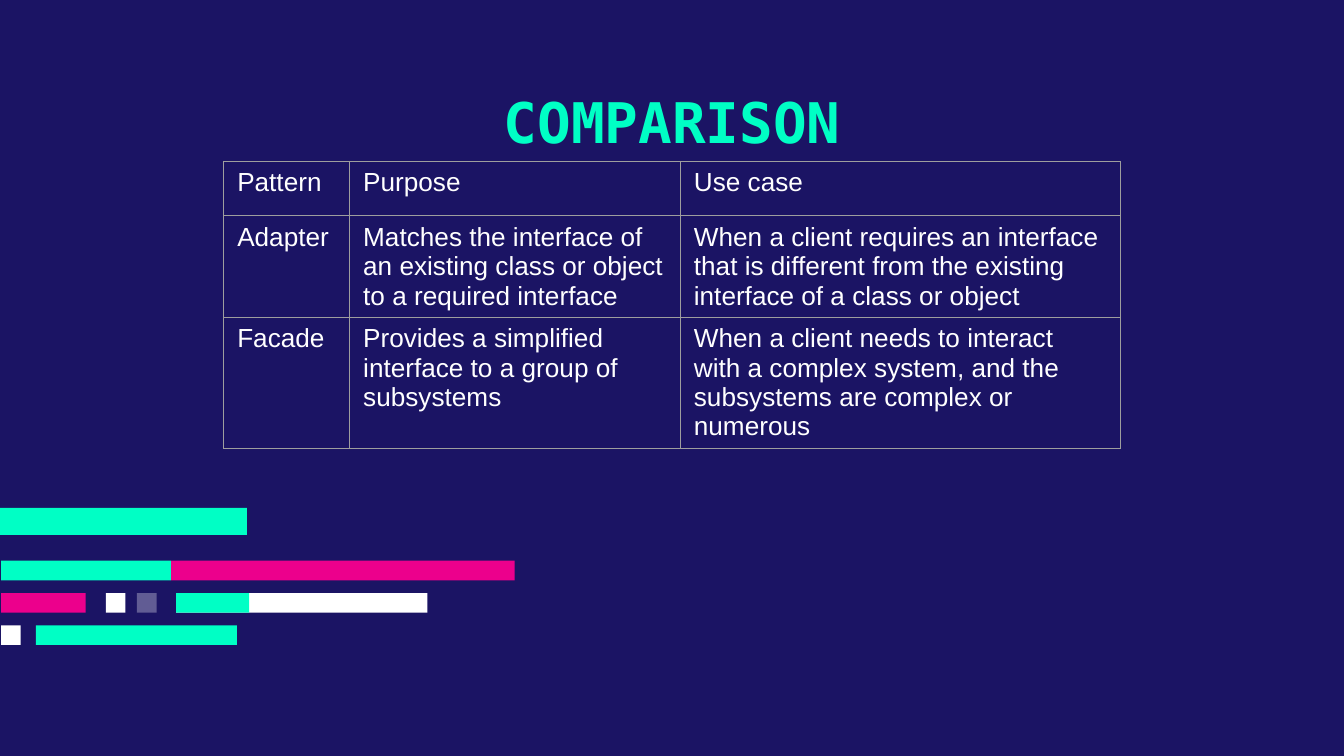
from dataclasses import dataclass

from lxml import etree
from pptx import Presentation
from pptx.dml.color import RGBColor
from pptx.enum.shapes import MSO_SHAPE
from pptx.enum.text import MSO_ANCHOR, PP_ALIGN
from pptx.oxml.ns import qn
from pptx.util import Cm, Pt

RECT = MSO_SHAPE.RECTANGLE
MIDDLE = MSO_ANCHOR.MIDDLE
LEFT, CENTER = PP_ALIGN.LEFT, PP_ALIGN.CENTER
TITLE_ONLY = 5


@dataclass(frozen=True)
class Theme:
    back: str = "1B1464"
    mint: str = "00FFC5"
    pink: str = "EC008C"
    white: str = "FFFFFF"
    grid: str = "9E9E9E"
    head_font: str = "DejaVu Sans Mono"
    body_font: str = "Arial"
    head_size: float = 30
    body_size: float = 14
    grid_width: float = 0.75


def write(frame, text, font, size, color, bold=False, align=LEFT):
    para = frame.paragraphs[0]
    para.alignment = align
    run = para.add_run()
    run.text = text
    run.font.name = font
    run.font.size = Pt(size)
    run.font.bold = bold
    run.font.color.rgb = RGBColor.from_string(color)


class Deck:
    def __init__(self, theme, width, height):
        self.theme = theme
        self.file = Presentation()
        self.file.slide_width, self.file.slide_height = Cm(width), Cm(height)
        self.slide = self.file.slides.add_slide(self.file.slide_layouts[TITLE_ONLY])
        fill = self.slide.background.fill
        fill.solid()
        fill.fore_color.rgb = RGBColor.from_string(theme.back)

    def title(self, text, left, top, width, height):
        box = self.slide.shapes.title
        box.left, box.top, box.width, box.height = map(Cm, (left, top, width, height))
        frame = box.text_frame
        frame.word_wrap = True
        frame.vertical_anchor = MIDDLE
        frame.margin_left = frame.margin_right = Cm(0.25)
        frame.margin_top = frame.margin_bottom = Cm(0.25)
        look = self.theme
        write(frame, text, font=look.head_font, size=look.head_size,
              color=look.mint, bold=True, align=CENTER)

    def bar(self, left, top, width, height, color, alpha=100):
        """Draw a flat bar; alpha is its opacity in percent."""
        shape = self.slide.shapes.add_shape(RECT, *map(Cm, (left, top, width, height)))
        shape.shadow.inherit = False
        shape.line.fill.background()
        shape.fill.solid()
        shape.fill.fore_color.rgb = RGBColor.from_string(color)
        if alpha < 100:
            tint = shape.fill._xPr.find(".//" + qn("a:srgbClr"))
            etree.SubElement(tint, qn("a:alpha"), val=str(alpha * 1000))

    def table(self, rows, left, top, widths, height):
        """Draw a ruled table; height is the least height of each row."""
        look = self.theme
        table = self.slide.shapes.add_table(
            len(rows), len(widths), Cm(left), Cm(top),
            Cm(sum(widths)), Cm(height * len(rows))).table
        table.first_row = table.horz_banding = False
        for col, width in zip(table.columns, widths):
            col.width = Cm(width)
        for row, texts in zip(table.rows, rows):
            row.height = Cm(height)
            for cell, text in zip(row.cells, texts):
                cell.fill.background()
                self.rule(cell)
                write(cell.text_frame, text, font=look.body_font,
                      size=look.body_size, color=look.white)

    def rule(self, cell):
        """Put a thin line on all four sides of a cell."""
        props = cell._tc.get_or_add_tcPr()
        for place, side in enumerate("LRTB"):
            line = etree.Element(qn("a:ln" + side), w=str(Pt(self.theme.grid_width)))
            fill = etree.SubElement(line, qn("a:solidFill"))
            etree.SubElement(fill, qn("a:srgbClr"), val=self.theme.grid)
            props.insert(place, line)

    def save(self):
        self.file.save("out.pptx")


def main():
    look = Theme()
    deck = Deck(look, 25.4, 14.29)
    deck.title("COMPARISON", 3.56, 1.37, 18.29, 1.85)

    deck.bar(-0.28, 9.6, 4.95, 0.51, look.mint)
    edge, thick, first, step = 0.02, 0.37, 10.6, 0.61
    lines = [
        [(3.23, 6.5, look.pink), (edge, 3.21, look.mint)],
        [(3.33, 4.75, look.white), (3.33, 1.38, look.mint),
         (edge, 1.6, look.pink), (2.59, thick, look.white, 31),
         (2, thick, look.white)],
        [(edge, thick, look.white), (0.68, 3.8, look.mint)],
    ]
    for level, bars in enumerate(lines):
        for left, width, *paint in bars:
            deck.bar(left, first + level * step, width, thick, *paint)

    deck.table([
        ("Pattern", "Purpose", "Use case"),
        ("Adapter",
         "Matches the interface of an existing class or object to a required interface",
         "When a client requires an interface that is different from the existing "
         "interface of a class or object"),
        ("Facade",
         "Provides a simplified interface to a group of subsystems",
         "When a client needs to interact with a complex system, and the subsystems "
         "are complex or numerous"),
    ], left=4.23, top=3.05, widths=(2.38, 6.25, 8.31), height=1.03)
    deck.save()


if __name__ == "__main__":
    main()
